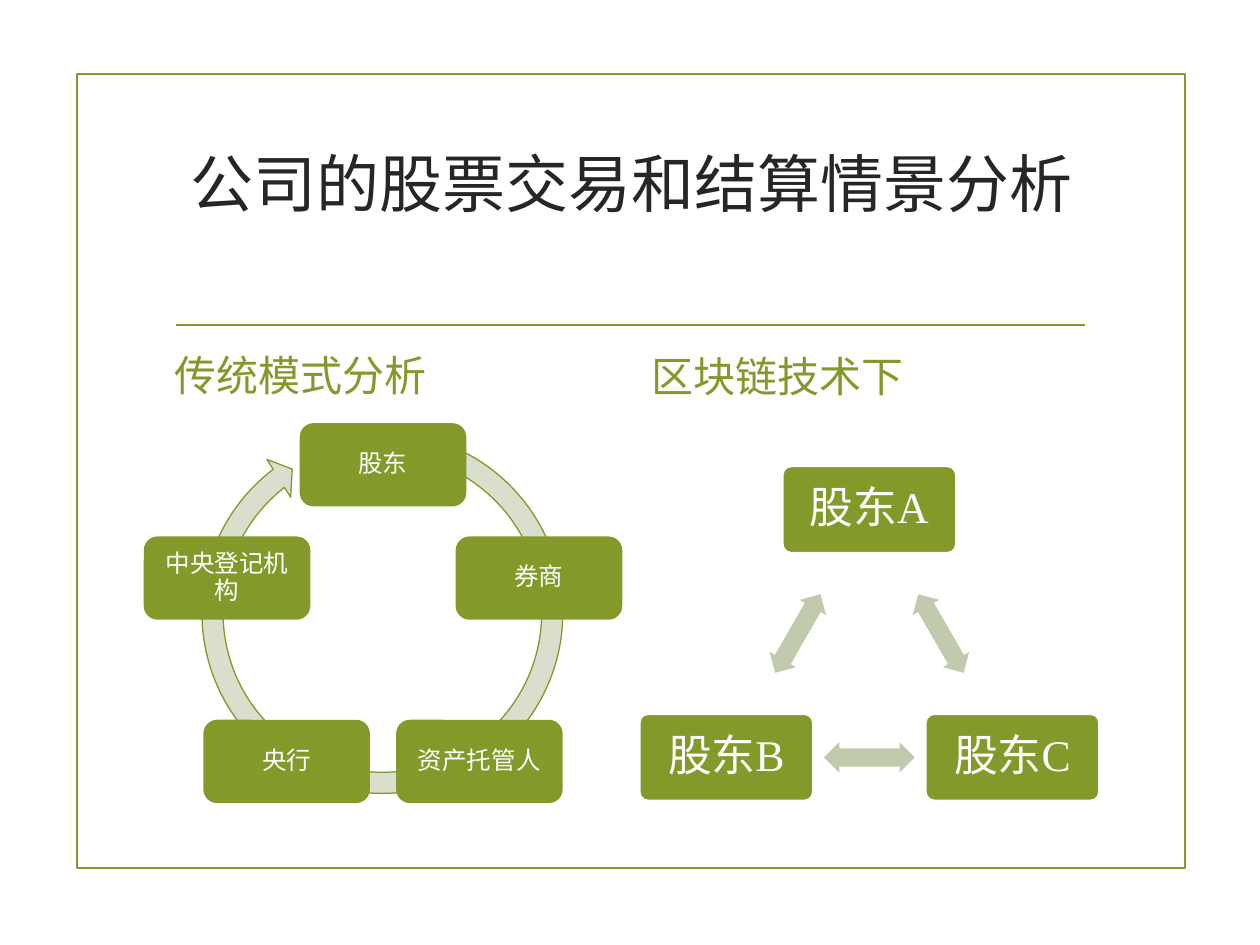
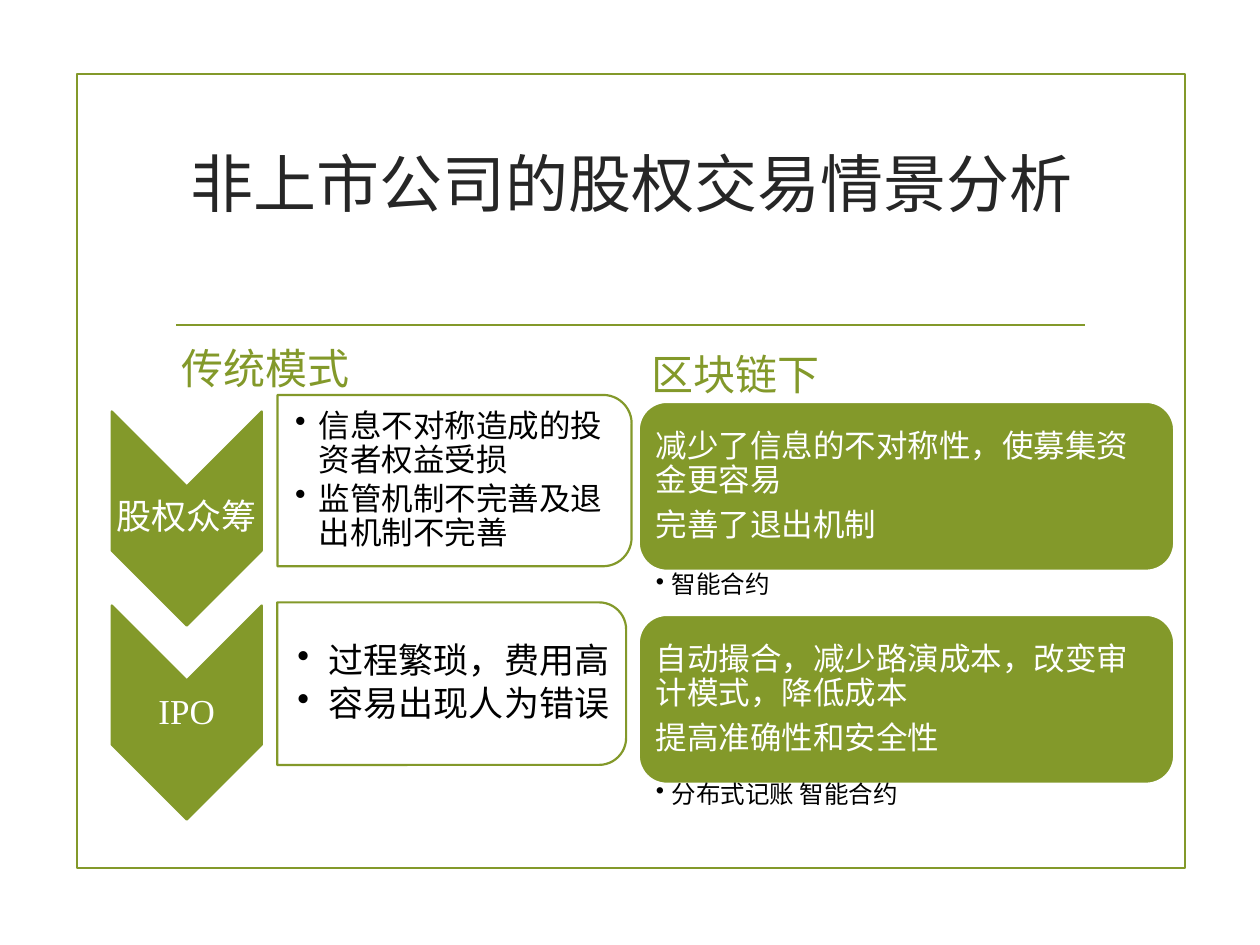
from dataclasses import dataclass
from math import cos, radians, sin
from typing import NamedTuple

from lxml import etree
from pptx import Presentation
from pptx.dml import color as dml
from pptx.enum import shapes, text
from pptx.oxml import ns
from pptx.util import Pt

FONT = "Times New Roman"
GREEN, PALE, SAGE = "83992A", "D9DECD", "C1CAAD"
WHITE, BLACK, DARK = "FFFFFF", "000000", "262626"
EDGE = 1.25
KIND = shapes.MSO_SHAPE
TOP, MID, LOW = text.MSO_ANCHOR.TOP, text.MSO_ANCHOR.MIDDLE, text.MSO_ANCHOR.BOTTOM
LEFT, CENTER = text.PP_ALIGN.LEFT, text.PP_ALIGN.CENTER


class Box(NamedTuple):
    x: float
    y: float
    w: float
    h: float


class Pads(NamedTuple):
    left: float = 7.2
    top: float = 3.6
    right: float = 7.2
    bottom: float = 3.6


@dataclass(frozen=True)
class Style:
    size: float
    tint: str = WHITE
    align: int = CENTER
    anchor: int = MID
    pads: Pads = Pads()
    lead: float = 0.9
    before: float = 0
    after: float = 0
    hang: float = 0


@dataclass(frozen=True)
class Look:
    kind: int
    fill: str | None = GREEN
    line: str | None = None
    width: float = EDGE
    turn: float = 0
    adjust: tuple[float, ...] = ()


@dataclass(frozen=True)
class Ring:
    x: float
    y: float
    radius: float

    def box(self, angle: float, w: float, h: float, scale: float = 1) -> Box:
        reach, turn = self.radius * scale, radians(angle)
        return around(self.x + reach * sin(turn), self.y - reach * cos(turn), w, h)


@dataclass(frozen=True)
class Row:
    label: str
    mid: float
    card: Box
    flaws: tuple[str, ...]
    flaw: Style
    gains: tuple[str, ...]
    gain_y: float
    note: str
    note_y: float


TITLE = Style(36, DARK, anchor=TOP, pads=Pads(top=10.4), lead=1)
HEAD = Style(24, GREEN, LEFT, LOW, lead=1, before=4.8, after=6)
NODE = Style(14, pads=Pads(*[4.2] * 4), after=4.9)
PEER = Style(25, pads=Pads(*[7.5] * 4), after=8.75)
LABEL = Style(20, pads=Pads(*[0.9] * 4), after=7)
GAIN = Style(18, align=LEFT, pads=Pads(*[4.9] * 4), after=6.3)
NOTE = Style(14, BLACK, LEFT, TOP, Pads(9.8, 1.9, 9.8, 1.9), after=2.8, hang=9)


def flaw(size: float, pad: float, hang: float) -> Style:
    return Style(size, BLACK, LEFT, pads=Pads(pad, 0.9, 5.5, 0.9), after=size * 0.15, hang=hang)


FRAME = Look(KIND.RECTANGLE, None, GREEN)
ARC = Look(KIND.CIRCULAR_ARROW, PALE, GREEN, 0.75,
           adjust=(0.055, 3.307, 139.46, 172.833, 0.058))
ROUND = Look(KIND.ROUNDED_RECTANGLE)
TILE = Look(KIND.ROUNDED_RECTANGLE, line=WHITE, adjust=(0.1,))
PANEL = Look(KIND.ROUNDED_RECTANGLE, line=WHITE)
CHEVRON = Look(KIND.CHEVRON, line=GREEN, turn=90)
CARD = Look(KIND.ROUND_2_SAME_RECTANGLE, WHITE, GREEN, turn=90)

ROWS = [
    Row("股权众筹", 296.3, Box(158.6, 225.7, 202.3, 97.9),
        ("信息不对称造成的投资者权益受损", "监管机制不完善及退出机制不完善"), flaw(18, 10, 13.5),
        ("减少了信息的不对称性，使募集资金更容易", "完善了退出机制"), 229.7,
        "智能合约", 325.4),
    Row("IPO", 407.2, Box(158.4, 344.2, 199.4, 92.9),
        ("过程繁琐，费用高", "容易出现人为错误"), flaw(20, 11.5, 18),
        ("自动撮合，减少路演成本，改变审计模式，降低成本", "提高准确性和安全性"), 351.4,
        "分布式记账 智能合约", 445),
]


def around(x: float, y: float, w: float, h: float) -> Box:
    return Box(x - w / 2, y - h / 2, w, h)


def rgb(tint: str) -> dml.RGBColor:
    return dml.RGBColor.from_string(tint)


def write(shape, lines: tuple[str, ...], style: Style) -> None:
    frame = shape.text_frame
    frame.word_wrap = True
    frame.vertical_anchor = style.anchor
    for side, pad in style.pads._asdict().items():
        setattr(frame, f"margin_{side}", Pt(pad))
    for i, line in enumerate(lines):
        para = frame.add_paragraph() if i else frame.paragraphs[0]
        para.text = line
        if style.hang:
            props = para._p.get_or_add_pPr()
            props.set("marL", str(Pt(style.hang)))
            props.set("indent", str(-Pt(style.hang)))
            etree.SubElement(props, ns.qn("a:buChar"), char="•")
        para.alignment = style.align
        para.line_spacing = style.lead
        para.space_before = Pt(style.before)
        para.space_after = Pt(style.after)
        para.font.name = FONT
        para.font.size = Pt(style.size)
        para.font.color.rgb = rgb(style.tint)


def draw(slide, look: Look, box: Box):
    shape = slide.shapes.add_shape(look.kind, *map(Pt, box))
    shape.shadow.inherit = False
    shape.rotation = look.turn
    for i, value in enumerate(look.adjust):
        shape.adjustments[i] = value
    if look.fill:
        shape.fill.solid()
        shape.fill.fore_color.rgb = rgb(look.fill)
    else:
        shape.fill.background()
    if look.line:
        shape.line.color.rgb = rgb(look.line)
        shape.line.width = Pt(look.width)
    else:
        shape.line.fill.background()
    return shape


def label(slide, box: Box, style: Style, *lines: str) -> None:
    write(slide.shapes.add_textbox(*map(Pt, box)), lines, style)


def start(deck, title: str):
    slide = deck.slides.add_slide(deck.slide_layouts[6])
    draw(slide, FRAME, Box(44, 42.5, 633, 453.5))
    rule = slide.shapes.add_connector(
        shapes.MSO_CONNECTOR.STRAIGHT, Pt(100.8), Pt(185.8), Pt(620), Pt(185.8))
    rule.line.color.rgb = rgb(GREEN)
    rule.line.width = Pt(EDGE)
    etree.SubElement(rule._element.spPr, ns.qn("a:effectLst"))
    label(slide, Box(92.9, 72, 535.7, 103), TITLE, title)
    return slide


def stock(deck) -> None:
    slide = start(deck, "公司的股票交易和结算情景分析")
    label(slide, Box(92.9, 186.5, 262.8, 45.4), HEAD, "传统模式分析")
    label(slide, Box(365, 187.2, 262.8, 45.4), HEAD, "区块链技术下")

    draw(slide, ARC, Box(108.7, 240.5, 219.6, 219.6))
    cycle = Ring(218.9, 359.3, 93.7)
    names = ("股东", "券商", "资产托管人", "央行", "中央登记机构")
    for i, name in enumerate(names):
        node = draw(slide, ROUND, cycle.box(i * 360 / len(names), 95.2, 47.6))
        write(node, (name,), NODE)

    peers = Ring(496.8, 385.6, 94.4)
    for i, name in enumerate(("股东A", "股东C", "股东B")):
        angle = i * 120
        write(draw(slide, TILE, peers.box(angle, 99.2, 49.6)), (name,), PEER)
        arrow = Look(KIND.LEFT_RIGHT_ARROW, SAGE, turn=angle + 60, adjust=(0.6, 0.5))
        draw(slide, arrow, peers.box(angle + 60, 51.8, 17.4, 0.5))


def equity(deck) -> None:
    slide = start(deck, "非上市公司的股权交易情景分析")
    label(slide, Box(96.5, 190, 262.8, 38.2), HEAD, "传统模式")
    label(slide, Box(365, 185.8, 262.8, 45.4), HEAD, "区块链下")
    for row in ROWS:
        draw(slide, CHEVRON, around(106.7, row.mid, 122.4, 85.7))
        label(slide, around(106.7, row.mid, 85.7, 36.7), LABEL, row.label)
        x, y, w, h = row.card
        draw(slide, CARD, around(x + w / 2, y + h / 2, h, w))
        label(slide, row.card, row.flaw, *row.flaws)
        write(draw(slide, PANEL, Box(365, row.gain_y, 306, 96.5)), row.gains, GAIN)
        label(slide, Box(365, row.note_y, 306, 23.8), NOTE, row.note)


def main() -> None:
    deck = Presentation()
    deck.slide_width, deck.slide_height = Pt(720), Pt(540)
    stock(deck)
    equity(deck)
    deck.save("out.pptx")


if __name__ == "__main__":
    main()
